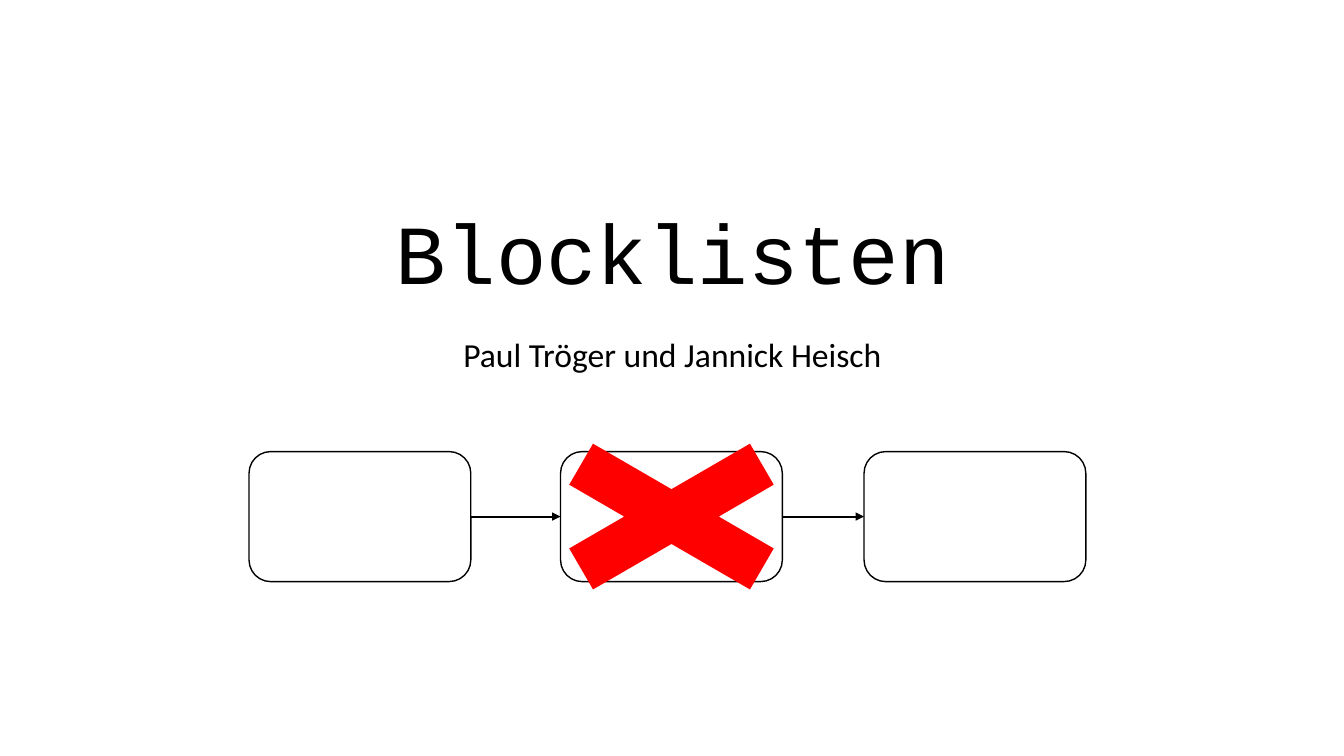
from itertools import pairwise

from lxml import etree
from pptx import Presentation
from pptx.dml.color import RGBColor
from pptx.enum.shapes import MSO_CONNECTOR, MSO_SHAPE
from pptx.enum.text import MSO_ANCHOR, PP_ALIGN
from pptx.oxml.ns import qn
from pptx.util import Inches, Pt

BLACK = RGBColor(0x00, 0x00, 0x00)
WHITE = RGBColor(0xFF, 0xFF, 0xFF)
RED = RGBColor(0xFF, 0x00, 0x00)

BLOCK_OFFSETS = (0, 3.09, 6.1)
BLOCK_WIDTH = 2.2
CROSS_WIDTH, CROSS_HEIGHT = 3.45, 2


def place(sp, x, y, w, h):
    sp.left, sp.top, sp.width, sp.height = map(Inches, (x, y, w, h))


def write(sp, text, size, font, anchor=MSO_ANCHOR.TOP, before=0):
    tf = sp.text_frame
    tf.word_wrap = True
    tf.vertical_anchor = anchor
    p = tf.paragraphs[0]
    p.alignment = PP_ALIGN.CENTER
    p.line_spacing = 0.9
    p.space_before = Pt(before)
    r = p.add_run()
    r.text = text
    r.font.size = Pt(size)
    r.font.name = font
    r.font.color.rgb = BLACK


def add_heading(s, x, y, w):
    title = s.shapes.title
    place(title, x, y, w, 2.61)
    write(title, "Blocklisten", 60, "Courier New", anchor=MSO_ANCHOR.BOTTOM)
    authors = s.shapes.add_textbox(Inches(x), Inches(y + 2.87), Inches(w), Inches(1.81))
    write(authors, "Paul Tröger und Jannick Heisch", 24, "Calibri", before=10)


def add_filled(s, kind, x, y, w, h, fill):
    sp = s.shapes.add_shape(kind, Inches(x), Inches(y), Inches(w), Inches(h))
    sp.shadow.inherit = False
    sp.fill.solid()
    sp.fill.fore_color.rgb = fill
    sp.line.fill.background()
    return sp


def add_block(s, x, y, w, h):
    sp = add_filled(s, MSO_SHAPE.ROUNDED_RECTANGLE, x, y, w, h, WHITE)
    sp.line.color.rgb = BLACK
    sp.line.width = Pt(1)
    return sp


def add_arrow(s, start, end):
    """Link the right side of one block to the left side of the next."""
    arrow = s.shapes.add_connector(MSO_CONNECTOR.STRAIGHT, 0, 0, 0, 0)
    arrow.begin_connect(start, 3)
    arrow.end_connect(end, 1)
    arrow.line.color.rgb = BLACK
    arrow.line.width = Pt(1.5)
    etree.SubElement(arrow.line._get_or_add_ln(), qn("a:tailEnd"), type="triangle")
    etree.SubElement(arrow._element.spPr, qn("a:effectLst"))


def add_block_list(s, x, y, h):
    """Draw the linked blocks and cross out the middle one."""
    blocks = [add_block(s, x + dx, y, BLOCK_WIDTH, h) for dx in BLOCK_OFFSETS]
    for start, end in pairwise(blocks):
        add_arrow(s, start, end)
    cross_x = x + BLOCK_OFFSETS[1] + (BLOCK_WIDTH - CROSS_WIDTH) / 2
    cross_y = y + (h - CROSS_HEIGHT) / 2
    add_filled(s, MSO_SHAPE.MATH_MULTIPLY, cross_x, cross_y,
               CROSS_WIDTH, CROSS_HEIGHT, RED)


def main():
    prs = Presentation()
    prs.slide_width, prs.slide_height = Inches(13.33), Inches(7.5)
    s = prs.slides.add_slide(prs.slide_layouts[5])
    add_heading(s, 1.67, 0.44, 10)
    add_block_list(s, 2.47, 4.48, 1.29)
    prs.save("out.pptx")


if __name__ == "__main__":
    main()
